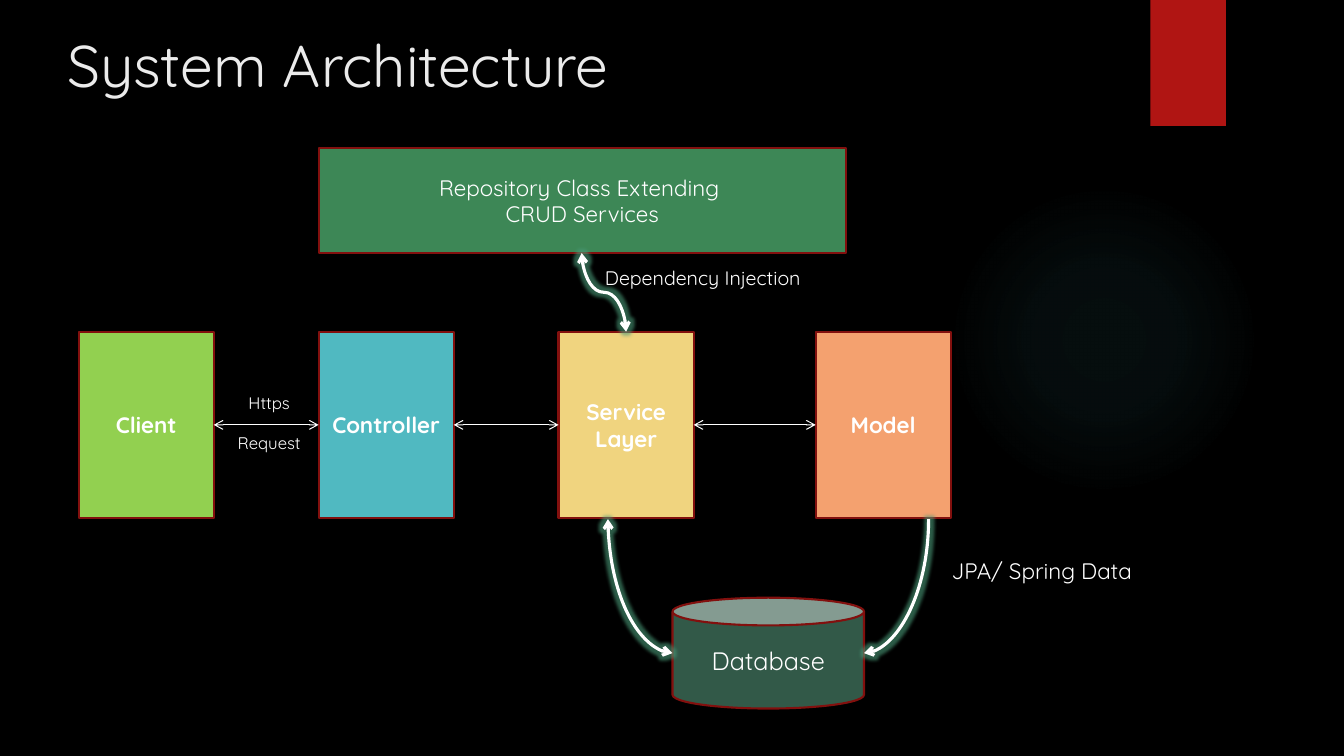
from lxml import etree
from pptx import Presentation
from pptx.dml.color import RGBColor
from pptx.enum.shapes import MSO_CONNECTOR, MSO_SHAPE
from pptx.enum.text import MSO_ANCHOR, PP_ALIGN
from pptx.oxml import parse_xml
from pptx.oxml.ns import nsdecls, qn
from pptx.util import Inches, Pt

RECTANGLE, OVAL, CAN = MSO_SHAPE.RECTANGLE, MSO_SHAPE.OVAL, MSO_SHAPE.CAN
STRAIGHT, CURVE = MSO_CONNECTOR.STRAIGHT, MSO_CONNECTOR.CURVE
LEFT, CENTER = PP_ALIGN.LEFT, PP_ALIGN.CENTER
TOP, MIDDLE = MSO_ANCHOR.TOP, MSO_ANCHOR.MIDDLE
LEFT_SIDE, RIGHT_SIDE = 1, 3
FONT = "Quicksand"
WHITE, OUTLINE, GLOW = "FFFFFF", "82100E", "4A9A78"
LAYERS = [
    (0, "Client", "92D050"),
    (2.38, "Controller", "50B9C1"),
    (4.76, "Service\nLayer", "F0D47F"),
    (7.31, "Model", "F4A16F"),
]


def color(value):
    return RGBColor.from_string(value)


def write_text(shape, text, size, bold=False, align=LEFT, anchor=TOP, hue=WHITE, gap=0):
    frame = shape.text_frame
    frame.word_wrap = True
    frame.vertical_anchor = anchor
    for index, line in enumerate(text.split("\n")):
        paragraph = frame.paragraphs[0] if index == 0 else frame.add_paragraph()
        paragraph.alignment = align
        paragraph.space_before = Pt(gap if index else 0)
        run = paragraph.add_run()
        run.text = line
        for name, value in {"name": FONT, "size": Pt(size), "bold": bold}.items():
            setattr(run.font, name, value)
        run.font.color.rgb = color(hue)


def add_label(slide, box, text, size, **style):
    shape = slide.shapes.add_textbox(*map(Inches, box))
    write_text(shape, text, size, **style)


def add_block(slide, kind, box, fill, text="", size=16, bold=False, outlined=True):
    shape = slide.shapes.add_shape(kind, *map(Inches, box))
    shape.shadow.inherit = False
    shape.fill.solid()
    shape.fill.fore_color.rgb = color(fill)
    if outlined:
        shape.line.color.rgb = color(OUTLINE)
        shape.line.width = Pt(1.5)
    else:
        shape.line.fill.background()
    if text:
        write_text(shape, text, size, bold, CENTER, MIDDLE)
    return shape


def style_connector(connector, width, ends, glow=False):
    connector.line.color.rgb = color(WHITE)
    connector.line.width = Pt(width)
    properties = connector._element.spPr
    for end in ends:
        etree.SubElement(properties.find(qn("a:ln")), qn(f"a:{end}"), type="arrow")
    effects = etree.SubElement(properties, qn("a:effectLst"))
    if glow:
        effects.append(parse_xml(
            f'<a:glow {nsdecls("a")} rad="{Pt(5)}"><a:srgbClr val="{GLOW}">'
            '<a:alpha val="60000"/></a:srgbClr></a:glow>'))


def join_sides(slide, first, second):
    connector = slide.shapes.add_connector(STRAIGHT, 0, 0, 0, 0)
    connector.begin_connect(first, RIGHT_SIDE)
    connector.end_connect(second, LEFT_SIDE)
    style_connector(connector, 0.75, ("headEnd", "tailEnd"))


def add_downward_curve(slide, start, end, preset, ends):
    (x1, y1), (x2, y2) = start, end
    width, height = y2 - y1, abs(x2 - x1)
    left, top = (x1 + x2 - width) / 2, (y1 + y2 - height) / 2
    connector = slide.shapes.add_connector(
        CURVE, *map(Inches, (left, top, left + width, top + height)))
    properties = connector._element.spPr
    properties.find(qn("a:prstGeom")).set("prst", preset)
    transform = properties.find(qn("a:xfrm"))
    rightward = x2 > x1
    transform.set("rot", str((270 if rightward else 90) * 60000))
    if rightward:
        transform.set("flipH", "1")
    style_connector(connector, 2.25, ends, glow=True)


def add_backdrop(slide, left, top):
    slide.background.fill.solid()
    slide.background.fill.fore_color.rgb = color("000000")
    halo = add_block(slide, OVAL, (left, top + 1.83, 3.08, 3.08), "50B9C1", outlined=False)
    stops = "".join(
        f'<a:gs pos="{position * 1000}"><a:srgbClr val="50B9C1">'
        f'<a:alpha val="{alpha * 1000}"/></a:srgbClr></a:gs>'
        for position, alpha in ((0, 7), (36, 6), (69, 0)))
    properties = halo._element.spPr
    properties.replace(properties.find(qn("a:solidFill")), parse_xml(
        f'<a:gradFill {nsdecls("a")}><a:gsLst>{stops}</a:gsLst><a:path path="circle">'
        '<a:fillToRect l="50000" t="50000" r="50000" b="50000"/></a:path></a:gradFill>'))
    add_block(slide, RECTANGLE, (left + 2, top, 0.75, 1.25), "B01513", outlined=False)


def add_layers(slide, left, top):
    blocks = [
        add_block(slide, RECTANGLE, (left + offset, top, 1.34, 1.85), fill, name, bold=True)
        for offset, name, fill in LAYERS
    ]
    for first, second in zip(blocks, blocks[1:]):
        join_sides(slide, first, second)
    add_label(slide, (left + 1.4, top + 0.56, 0.98, 0.73), "Https\nRequest", 12,
              align=CENTER, gap=14)


def add_repository(slide, left, top):
    add_block(slide, RECTANGLE, (left, top, 5.23, 1.04), "3D8756",
              "Repository Class Extending \nCRUD Services")
    add_downward_curve(slide, (left + 2.61, top + 1.04), (left + 3.05, top + 1.82),
                       "curvedConnector3", ("headEnd", "tailEnd"))
    add_label(slide, (left + 2.74, top + 1.12, 3.44, 0.34), "Dependency Injection", 14)


def add_database(slide, left, top):
    width, height = 1.9, 1.1
    add_block(slide, CAN, (left, top, width, height), "325948", "Database", 18)
    middle = top + height / 2
    for side, direction, ends in (
        (left, -1, ("headEnd", "tailEnd")),
        (left + width, 1, ("tailEnd",)),
    ):
        add_downward_curve(slide, (side + direction * 0.64, middle - 1.33), (side, middle),
                           "curvedConnector2", ends)
    add_label(slide, (left + 2.67, top - 0.45, 2.66, 0.37), "JPA/ Spring Data", 16)


def main():
    presentation = Presentation()
    presentation.slide_width = Inches(13.33)
    presentation.slide_height = Inches(7.5)
    slide = presentation.slides.add_slide(presentation.slide_layouts[6])
    add_backdrop(slide, 9.41, 0)
    add_label(slide, (0.57, 0.24, 10.29, 1.53), "System Architecture", 42, hue="EBEBEB")
    add_layers(slide, 0.78, 3.29)
    add_repository(slide, 3.16, 1.47)
    add_database(slide, 6.67, 5.93)
    presentation.save("out.pptx")


if __name__ == "__main__":
    main()
